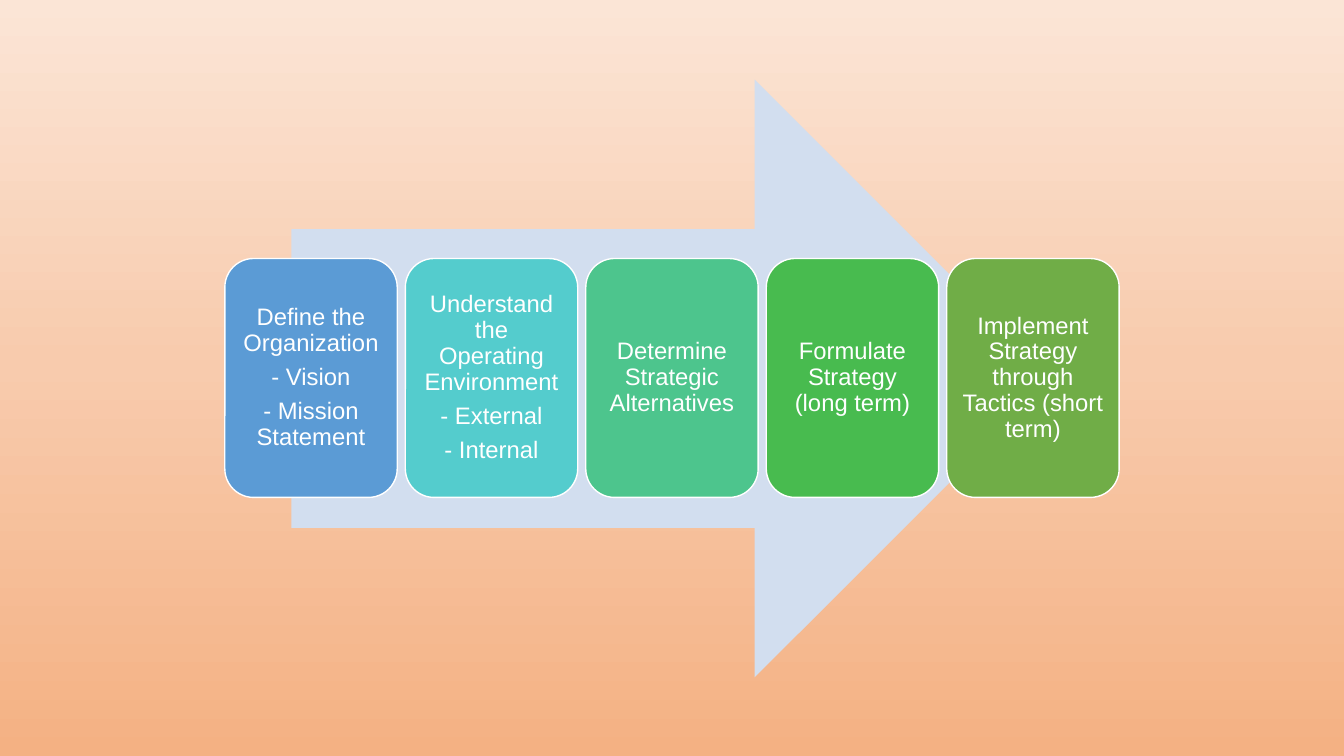
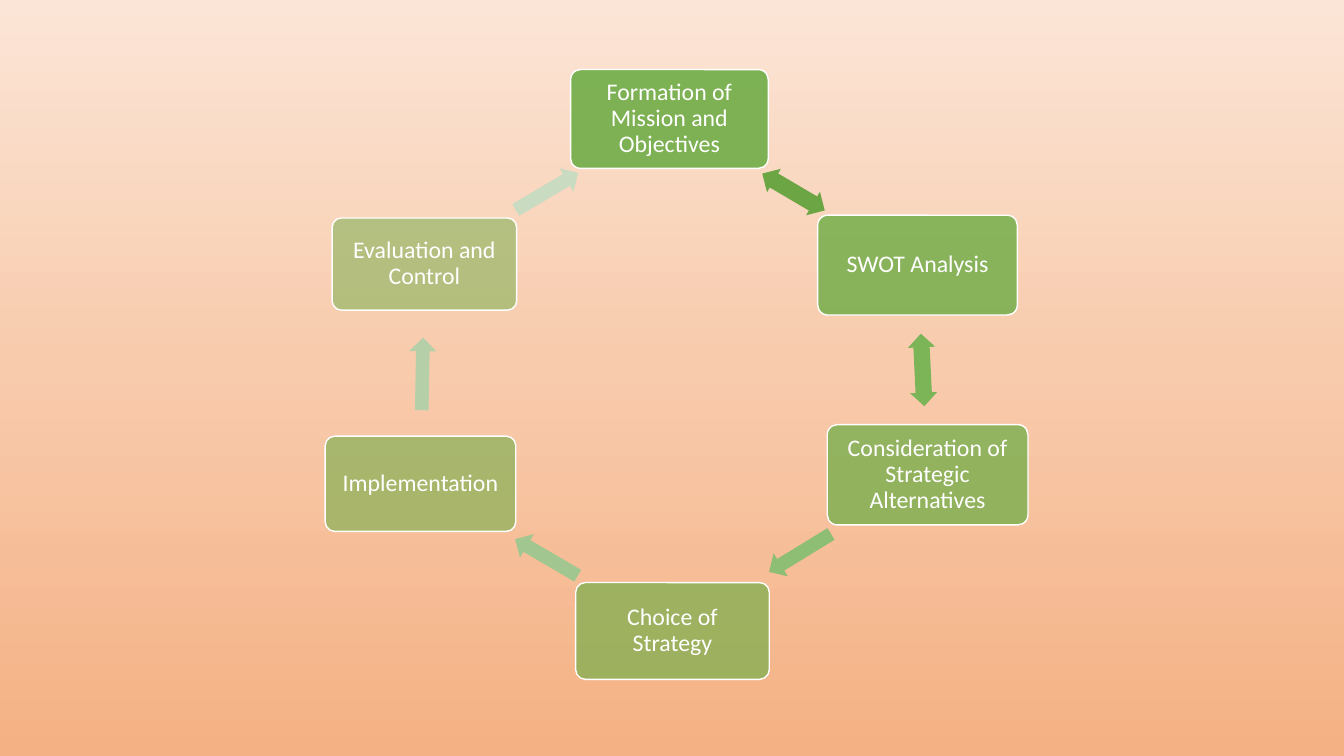
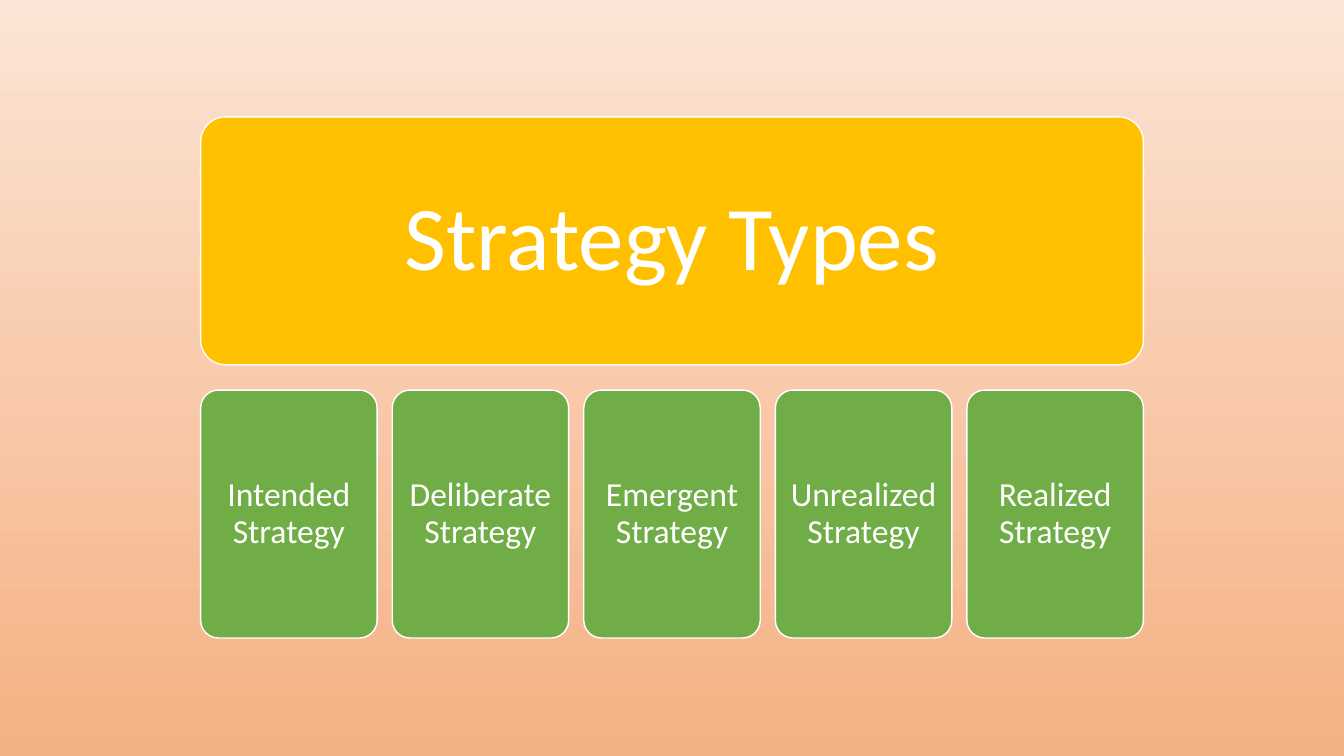
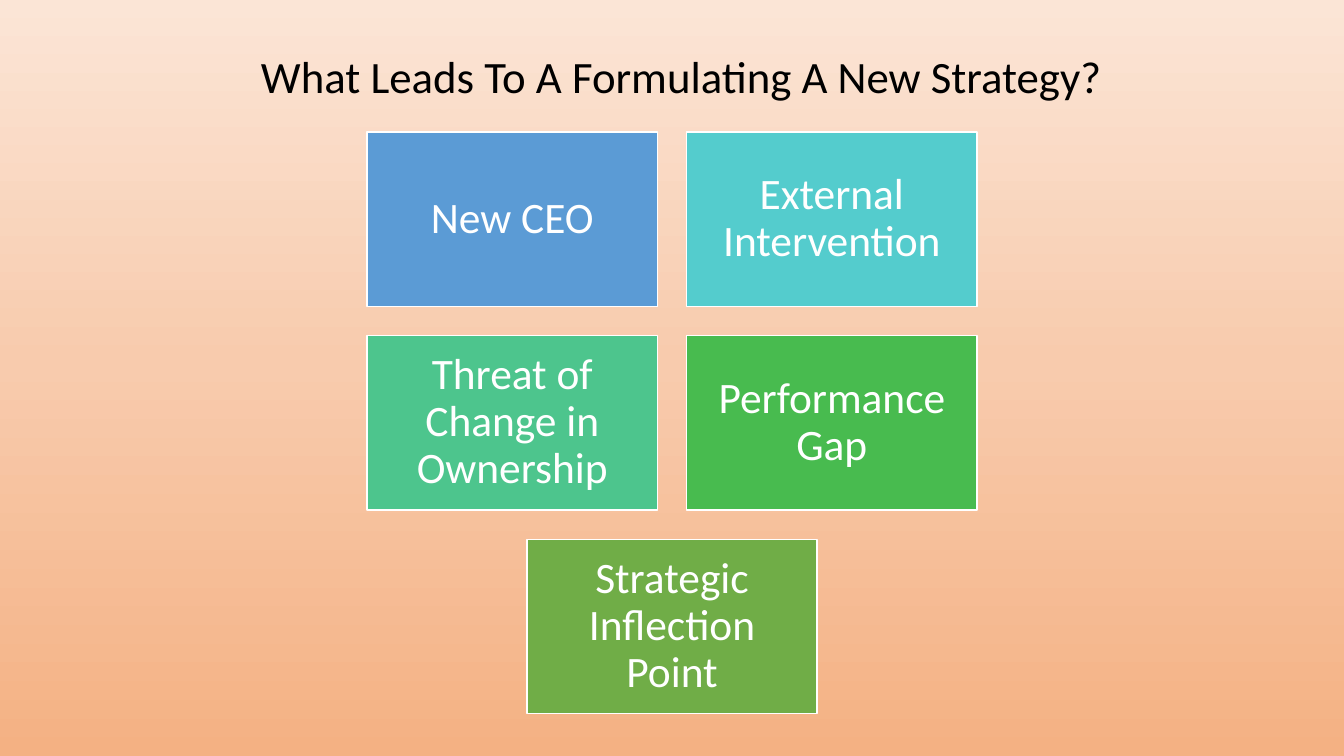
from math import atan2, degrees

from lxml import etree
from pptx import Presentation
from pptx.dml.color import RGBColor
from pptx.enum.shapes import MSO_SHAPE
from pptx.enum.text import MSO_ANCHOR, PP_ALIGN
from pptx.oxml.ns import qn
from pptx.util import Inches, Pt

RECT, ROUND = MSO_SHAPE.RECTANGLE, MSO_SHAPE.ROUNDED_RECTANGLE
ONE_WAY, TWO_WAY = MSO_SHAPE.RIGHT_ARROW, MSO_SHAPE.LEFT_RIGHT_ARROW
CENTER, MIDDLE = PP_ALIGN.CENTER, MSO_ANCHOR.MIDDLE

SLIDE_W, SLIDE_H = 13.33, 7.5
COLORS = {
    "blue": "5B9BD5", "aqua": "54CCCD", "mint": "4DC58D", "leaf": "48BB4F",
    "green": "70AD47", "gold": "FFC000", "pale": "D2DEEF",
    "white": "FFFFFF", "black": "000000",
}
SEQUENCE = ["blue", "aqua", "mint", "leaf", "green"]
BACKGROUND = [(0, "FBE5D6"), (48, "F8CBAD"), (100, "F4B183")]

STEPS = [
    ["Define the Organization", "- Vision", "- Mission Statement"],
    ["Understand the Operating Environment", "- External", "- Internal"],
    ["Determine Strategic Alternatives"],
    ["Formulate Strategy (long term)"],
    ["Implement Strategy through Tactics (short term)"],
]
# Text, centre x, centre y, width, colour of the arrow to the next stage
CYCLE = [
    ("Formation of Mission and Objectives", 6.64, 1.18, 1.96, "6BA544"),
    ("SWOT Analysis", 9.10, 2.63, 1.98, "7BB558"),
    ("Consideration of Strategic Alternatives", 9.20, 4.71, 1.99, "8EBD74"),
    ("Choice of Strategy", 6.67, 6.26, 1.92, "A1C68F"),
    ("Implementation", 4.17, 4.80, 1.89, "B5D0A9"),
    ("Evaluation and Control", 4.21, 2.62, 1.83, "C9DBC1"),
]
TYPES = ["Intended", "Deliberate", "Emergent", "Unrealized", "Realized"]
CAUSES = [
    ["New CEO", "External Intervention"],
    ["Threat of Change in Ownership", "Performance Gap"],
    ["Strategic Inflection Point"],
]


def rgb(color):
    return RGBColor.from_string(COLORS.get(color, color))


def set_background(master):
    fill = master.background.fill
    fill.gradient()
    fill.gradient_angle = 270
    stops = master.element.find(".//" + qn("a:gsLst"))
    for old in list(stops):
        stops.remove(old)
    for percent, color in BACKGROUND:
        gs = etree.SubElement(stops, qn("a:gs"), pos=str(percent * 1000))
        etree.SubElement(gs, qn("a:srgbClr"), val=color)


def centered_row(count, width, gap):
    """Left edges of equal boxes centred across the slide."""
    left = (SLIDE_W - count * width - (count - 1) * gap) / 2
    return [left + i * (width + gap) for i in range(count)]


def add_figure(slide, kind, box, color, adjust=()):
    sp = slide.shapes.add_shape(kind, *map(Inches, box))
    sp.shadow.inherit = False
    sp.fill.solid()
    sp.fill.fore_color.rgb = rgb(color)
    sp.line.fill.background()
    for i, value in enumerate(adjust):
        sp.adjustments[i] = value
    return sp


def add_card(slide, kind, box, color, lines, size, inset, font="Calibri", adjust=()):
    """Filled box with a white outline and centred white text."""
    sp = add_figure(slide, kind, box, color, adjust)
    sp.line.color.rgb = rgb("white")
    sp.line.width = Pt(1)
    tf = sp.text_frame
    tf.word_wrap = True
    tf.vertical_anchor = MIDDLE
    tf.margin_left = tf.margin_right = tf.margin_top = tf.margin_bottom = Inches(inset)
    for i, line in enumerate(lines):
        p = tf.add_paragraph() if i else tf.paragraphs[0]
        p.text = line
        p.alignment = CENTER
        p.line_spacing = 0.9
        p.space_after = Pt(round(0.35 * size))
        style_font(p, size, "white", font)
    return sp


def style_font(p, size, color, name="Calibri"):
    p.font.size = Pt(size)
    p.font.name = name
    p.font.color.rgb = rgb(color)


def set_opacity(sp, percent):
    color = sp.fill._xPr.find(qn("a:solidFill"))[0]
    etree.SubElement(color, qn("a:alpha"), val=str(percent * 1000))


def add_title(slide, text):
    box = slide.shapes.add_textbox(*map(Inches, (2.49, 0.43, 8.62, 0.64)))
    box.text_frame.word_wrap = True
    p = box.text_frame.paragraphs[0]
    p.text = text
    style_font(p, 32, "black")


def build_process(slide):
    add_figure(slide, ONE_WAY, (2.89, 0.79, 7.56, 5.93), "pale")
    width, height = 1.71, 2.37
    lefts = centered_row(len(STEPS), width, 0.08)
    for left, color, lines in zip(lefts, SEQUENCE, STEPS):
        box = (left, (SLIDE_H - height) / 2, width, height)
        add_card(slide, ROUND, box, color, lines, 17, 0.07, "Arial")


def build_cycle(slide):
    arrow_w, arrow_h = 0.72, 0.27
    following = CYCLE[1:] + CYCLE[:1]
    for i, (stage, after) in enumerate(zip(CYCLE, following)):
        text, x, y, width, arrow_color = stage
        height = width / 2
        box = (x - width / 2, y - height / 2, width, height)
        card = add_card(slide, ROUND, box, "green", [text], 17, 0.07, adjust=[0.1])
        set_opacity(card, 90 - 8 * i)

        next_x, next_y = after[1:3]
        box = ((x + next_x - arrow_w) / 2, (y + next_y - arrow_h) / 2, arrow_w, arrow_h)
        kind, adjust = (TWO_WAY, [0.6, 0.5]) if i < 2 else (ONE_WAY, [])
        arrow = add_figure(slide, kind, box, arrow_color, adjust)
        arrow.rotation = degrees(atan2(next_y - y, next_x - x)) % 360


def build_types(slide):
    width, height, gap = 1.75, 2.46, 0.15
    lefts = centered_row(len(TYPES), width, gap)
    full_width = lefts[-1] + width - lefts[0]
    add_card(slide, ROUND, (lefts[0], 1.16, full_width, height), "gold",
             ["Strategy Types"], 65, 0.27, adjust=[0.1])
    for left, name in zip(lefts, TYPES):
        add_card(slide, ROUND, (left, 3.87, width, height), "green",
                 [f"{name} Strategy"], 24, 0.1, adjust=[0.1])


def build_causes(slide):
    width, height, gap = 2.88, 1.73, 0.29
    colors = iter(SEQUENCE)
    for row, names in enumerate(CAUSES):
        top = 1.31 + row * (height + gap)
        for left, name in zip(centered_row(len(names), width, gap), names):
            add_card(slide, RECT, (left, top, width, height), next(colors),
                     [name], 31, 0.13)
    add_title(slide, "What Leads To A Formulating A New Strategy?")


def main():
    prs = Presentation()
    prs.slide_width, prs.slide_height = Inches(SLIDE_W), Inches(SLIDE_H)
    set_background(prs.slide_master)
    blank = prs.slide_layouts[6]
    for build in (build_process, build_cycle, build_types, build_causes):
        build(prs.slides.add_slide(blank))
    prs.save("out.pptx")


if __name__ == "__main__":
    main()
